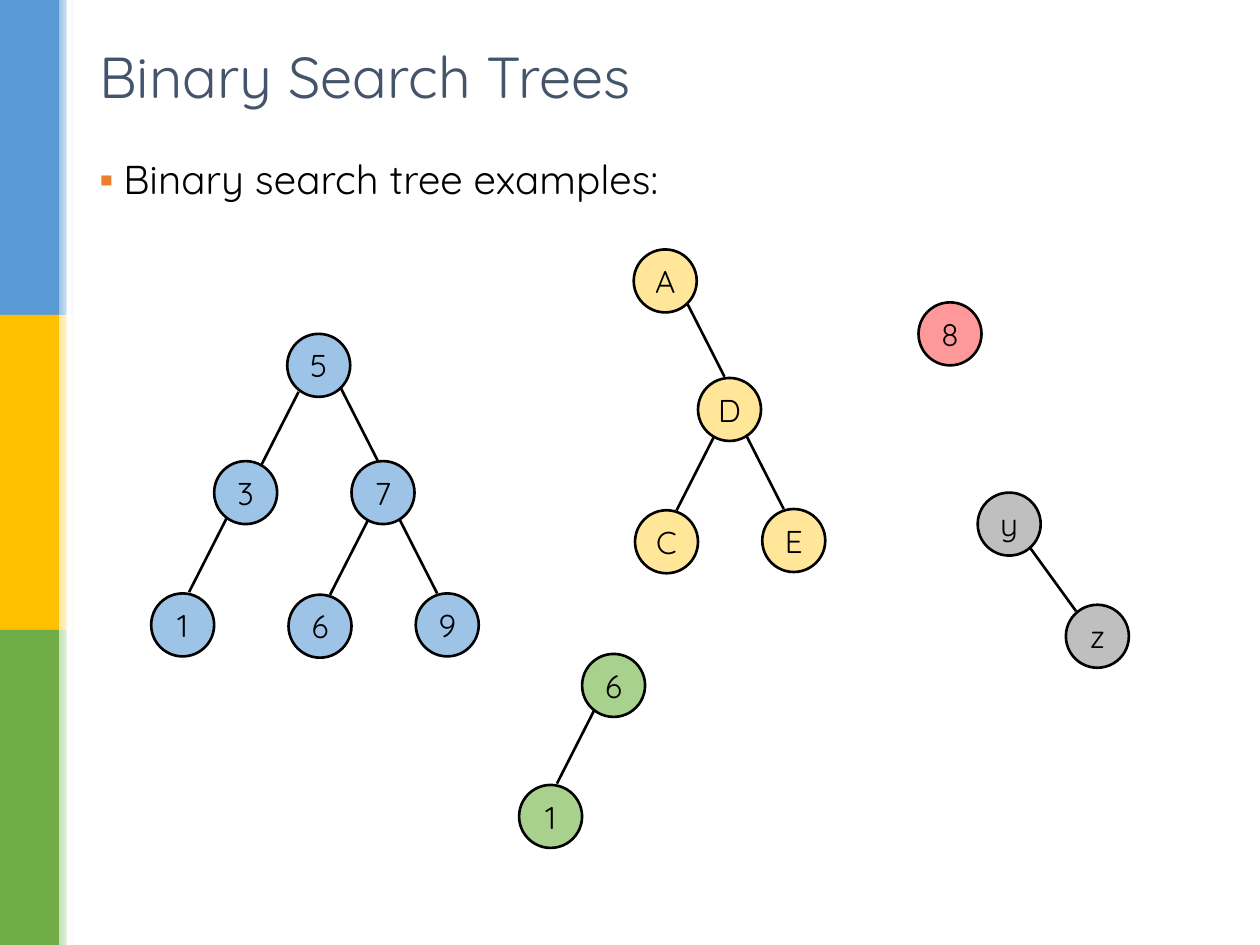
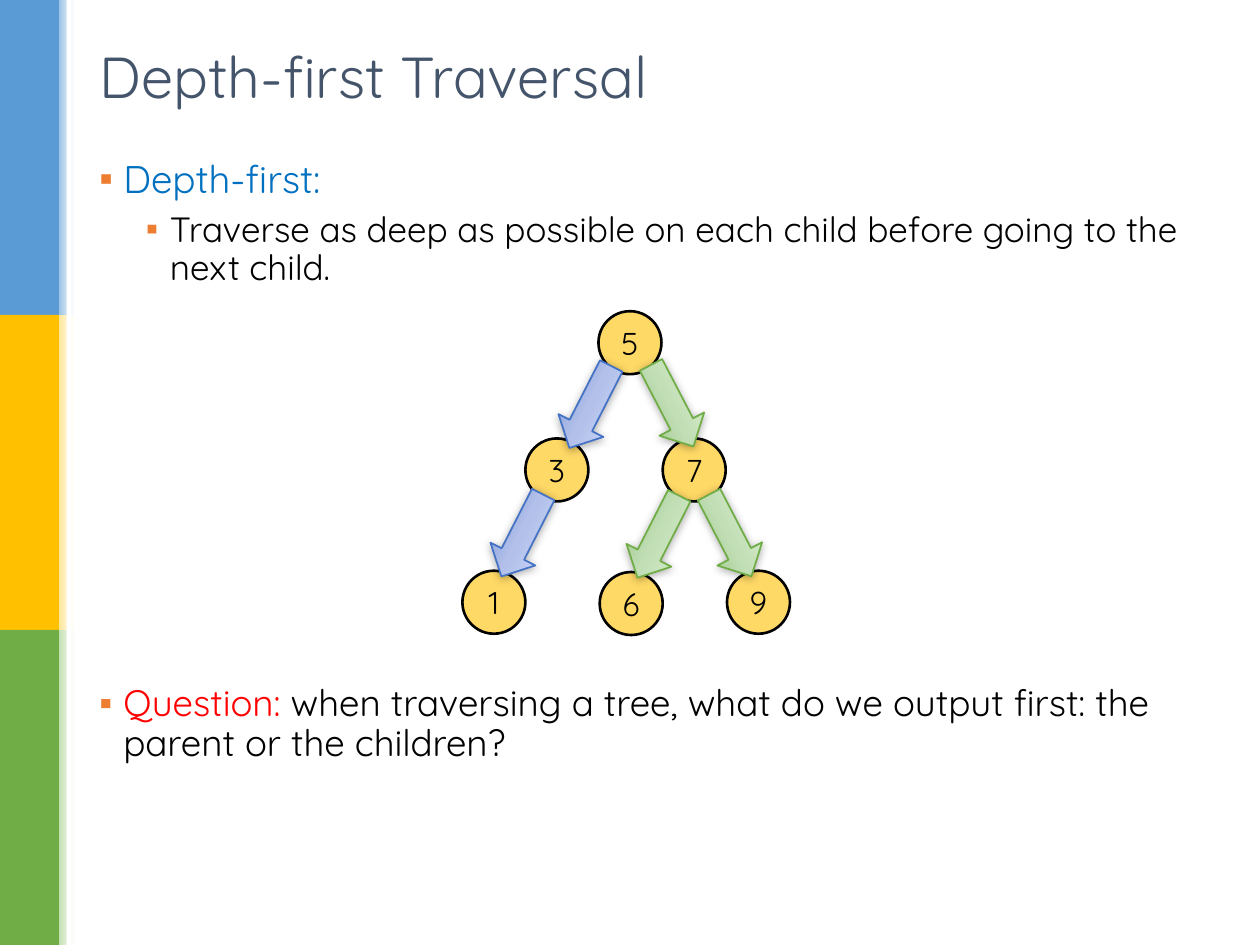
"""Build two slides on binary search trees and depth-first traversal."""
from dataclasses import dataclass

from lxml import etree
from pptx import Presentation
from pptx import util as u
from pptx.dml.color import RGBColor
from pptx.enum import shapes, text
from pptx.oxml import ns

Inches, Pt = u.Inches, u.Pt


@dataclass(frozen=True)
class Theme:
    font: str = "Quicksand"
    title_size: int = 33
    node_size: int = 18
    title: str = "44546A"
    ink: str = "000000"
    paper: str = "FFFFFF"
    bullet: str = "ED7D31"
    term: str = "0070C0"
    question: str = "FF0000"
    blue: str = "9DC3E6"
    yellow: str = "FFE699"
    gold: str = "FFD966"
    green: str = "A9D18E"
    red: str = "FF9999"
    grey: str = "BFBFBF"
    bands: tuple = (("5B9BD5", "9DC3E6"), ("FFC000", "FFE699"), ("70AD47", "C5E0B4"))
    blue_arrow: tuple = ("4472C4", "6D89CB", "B2C0EA", "D8E1FE")
    green_arrow: tuple = ("70AD47", "88B76F", "C1DEB5", "E3F7DB")


T = Theme()
NODE = 0.5
ARROW = (0.73, 0.4)
BAND_W, FADE_W, BAND_H = 0.47, 0.12, 2.5
LEFT, RIGHT, SHALLOW = (-0.3, 0.59), (0.3, 0.59), (0.37, 0.51)

# Nodes: label -> left, top. Edges: parent, start within the parent, step.
NUMBERS = {
    "nodes": {"5": (2.28, 2.65), "3": (1.7, 3.66), "7": (2.79, 3.66),
              "9": (3.3, 4.71), "6": (2.29, 4.72), "1": (1.2, 4.71)},
    "edges": [("5", (0.09, 0.46), LEFT), ("5", (0.42, 0.42), RIGHT),
              ("7", (0.38, 0.46), RIGHT), ("7", (0.13, 0.47), LEFT),
              ("3", (0.1, 0.45), LEFT)],
}
LETTERS = {
    "nodes": {"A": (5.03, 1.98), "D": (5.54, 3), "E": (6.05, 4.04), "C": (5.04, 4.05)},
    "edges": [("A", (0.42, 0.42), RIGHT), ("D", (0.38, 0.45), RIGHT),
              ("D", (0.13, 0.46), LEFT)],
}
LEFT_ONLY = {"nodes": {"6": (4.62, 5.19), "1": (4.12, 6.23)},
             "edges": [("6", (0.1, 0.44), LEFT)]}
SINGLE = {"nodes": {"8": (7.29, 2.4)}, "edges": []}
RIGHT_ONLY = {"nodes": {"y": (7.76, 3.91), "z": (8.46, 4.8)},
              "edges": [("y", (0.41, 0.43), SHALLOW)]}

# Body lines: level, size, space before, runs of text and colour.
SLIDES = [
    {"title": "Binary Search Trees",
     "body": [(0, 23, 7, [("Binary search tree examples:", T.ink)])],
     "trees": [(NUMBERS, T.blue, (0, 0)), (LETTERS, T.yellow, (0, 0)),
               (LEFT_ONLY, T.green, (0, 0)), (SINGLE, T.red, (0, 0)),
               (RIGHT_ONLY, T.grey, (0, 0))],
     "arrows": []},
    {"title": "Depth-first Traversal",
     "body": [(0, 22, 7, [("Depth-first:", T.term)]),
              (1, 20, 6, [("Traverse as deep as possible on each child before "
                           "going to the next child.", T.ink)]),
              (0, 21, 227, [("Question:", T.question),
                            (" when traversing a tree, what do we output first: "
                             "the parent or the children?", T.ink)])],
     "trees": [(NUMBERS, T.gold, (2.47, -0.18))],
     "arrows": [(4.32, 3.03, 117, T.blue_arrow), (3.78, 4.05, 117, T.blue_arrow),
                (4.97, 3.02, 62.5, T.green_arrow), (5.43, 4.05, 62.5, T.green_arrow),
                (4.86, 4.06, 117, T.green_arrow)]},
]


def rgb(value):
    return RGBColor.from_string(value)


def add_xml(parent, tag, **attrs):
    return etree.SubElement(parent, ns.qn(tag), {k: str(v) for k, v in attrs.items()})


def set_font(font, size, color=None):
    font.name, font.size = T.font, Pt(size)
    if color:
        font.color.rgb = rgb(color)


def add_shape(s, kind, left, top, width, height, fill, line=None, weight=1.5):
    sp = s.shapes.add_shape(kind, *map(Inches, (left, top, width, height)))
    sp.shadow.inherit = False
    if isinstance(fill, str):
        sp.fill.solid()
        sp.fill.fore_color.rgb = rgb(fill)
    else:
        set_gradient(sp, *fill)
    if line:
        sp.line.color.rgb = rgb(line)
        sp.line.width = Pt(weight)
    else:
        sp.line.fill.background()
    return sp


def set_gradient(sp, stops, angle):
    sp.fill.gradient()
    grad = sp._element.spPr.find(ns.qn("a:gradFill"))
    for child in list(grad):
        grad.remove(child)
    stop_list = add_xml(grad, "a:gsLst")
    for position, color in stops:
        stop = add_xml(stop_list, "a:gs", pos=position * 1000)
        add_xml(stop, "a:srgbClr", val=color)
    add_xml(grad, "a:lin", ang=angle * 60000, scaled=0)


def add_bands(s):
    rect = shapes.MSO_SHAPE.RECTANGLE
    for i, (solid, pale) in enumerate(T.bands):
        fade = ([(0, pale), (100, T.paper)], 0)
        add_shape(s, rect, 0, i * BAND_H, BAND_W, BAND_H, solid)
        add_shape(s, rect, BAND_W, i * BAND_H, FADE_W, BAND_H, fade)
    add_shape(s, rect, 0.53, 0, 0.04, 3 * BAND_H, T.paper)


def add_text_box(s, left, top, width, height):
    tf = s.shapes.add_textbox(*map(Inches, (left, top, width, height))).text_frame
    tf.word_wrap = True
    return tf


def add_title(s, title):
    tf = add_text_box(s, 0.69, 0.26, 8.62, 0.68)
    tf.vertical_anchor = text.MSO_ANCHOR.MIDDLE
    p = tf.paragraphs[0]
    p.text = title
    set_font(p.font, T.title_size, T.title)


def add_body(s, lines):
    tf = add_text_box(s, 0.69, 1.22, 8.86, 5.83)
    for i, (level, size, before, runs) in enumerate(lines):
        p = tf.add_paragraph() if i else tf.paragraphs[0]
        p.level = level
        add_bullet(p, 0.19 + 0.37 * level)
        p.line_spacing, p.space_before = 0.9, Pt(before)
        set_font(p.font, size)
        for words, color in runs:
            r = p.add_run()
            r.text = words
            r.font.color.rgb = rgb(color)


def add_bullet(p, margin):
    props = p._p.get_or_add_pPr()
    props.set("marL", str(Inches(margin)))
    props.set("indent", str(Inches(-0.19)))
    add_xml(add_xml(props, "a:buClr"), "a:srgbClr", val=T.bullet)
    add_xml(props, "a:buFont", typeface="Arial")
    add_xml(props, "a:buChar", char="▪")


def add_node(s, label, left, top, fill):
    sp = add_shape(s, shapes.MSO_SHAPE.OVAL, left, top, NODE, NODE, fill, T.ink)
    tf = sp.text_frame
    tf.word_wrap = False
    tf.vertical_anchor = text.MSO_ANCHOR.MIDDLE
    p = tf.paragraphs[0]
    p.text, p.alignment = label, text.PP_ALIGN.CENTER
    set_font(p.font, T.node_size, T.ink)


def add_edge(s, x, y, step):
    ends = map(Inches, (x, y, x + step[0], y + step[1]))
    line = s.shapes.add_connector(shapes.MSO_CONNECTOR.STRAIGHT, *ends)
    line.line.color.rgb = rgb(T.ink)
    line.line.width = Pt(1.5)
    add_xml(line._element.spPr, "a:effectLst")


def add_tree(s, tree, fill, shift):
    nodes = {label: (x + shift[0], y + shift[1])
             for label, (x, y) in tree["nodes"].items()}
    for label, (x, y) in nodes.items():
        add_node(s, label, x, y, fill)
    for parent, (dx, dy), step in tree["edges"]:
        x, y = nodes[parent]
        add_edge(s, x + dx, y + dy, step)


def add_arrow(s, left, top, angle, colors):
    line, *shades = colors
    fill = (list(zip((0, 48, 100), shades)), 270)
    sp = add_shape(s, shapes.MSO_SHAPE.RIGHT_ARROW, left, top, *ARROW, fill, line, 1)
    sp.rotation = angle
    effects = sp._element.spPr.find(ns.qn("a:effectLst"))
    shadow = add_xml(effects, "a:outerShdw", blurRad=Pt(5), dist=Pt(1),
                     dir=90 * 60000, rotWithShape=0)
    add_xml(add_xml(shadow, "a:srgbClr", val=T.ink), "a:alpha", val=32000)


def main():
    prs = Presentation()
    prs.slide_width, prs.slide_height = Inches(10), Inches(7.5)
    for content in SLIDES:
        s = prs.slides.add_slide(prs.slide_layouts[6])
        add_bands(s)
        add_body(s, content["body"])
        add_title(s, content["title"])
        for tree in content["trees"]:
            add_tree(s, *tree)
        for arrow in content["arrows"]:
            add_arrow(s, *arrow)
    prs.save("out.pptx")


if __name__ == "__main__":
    main()
